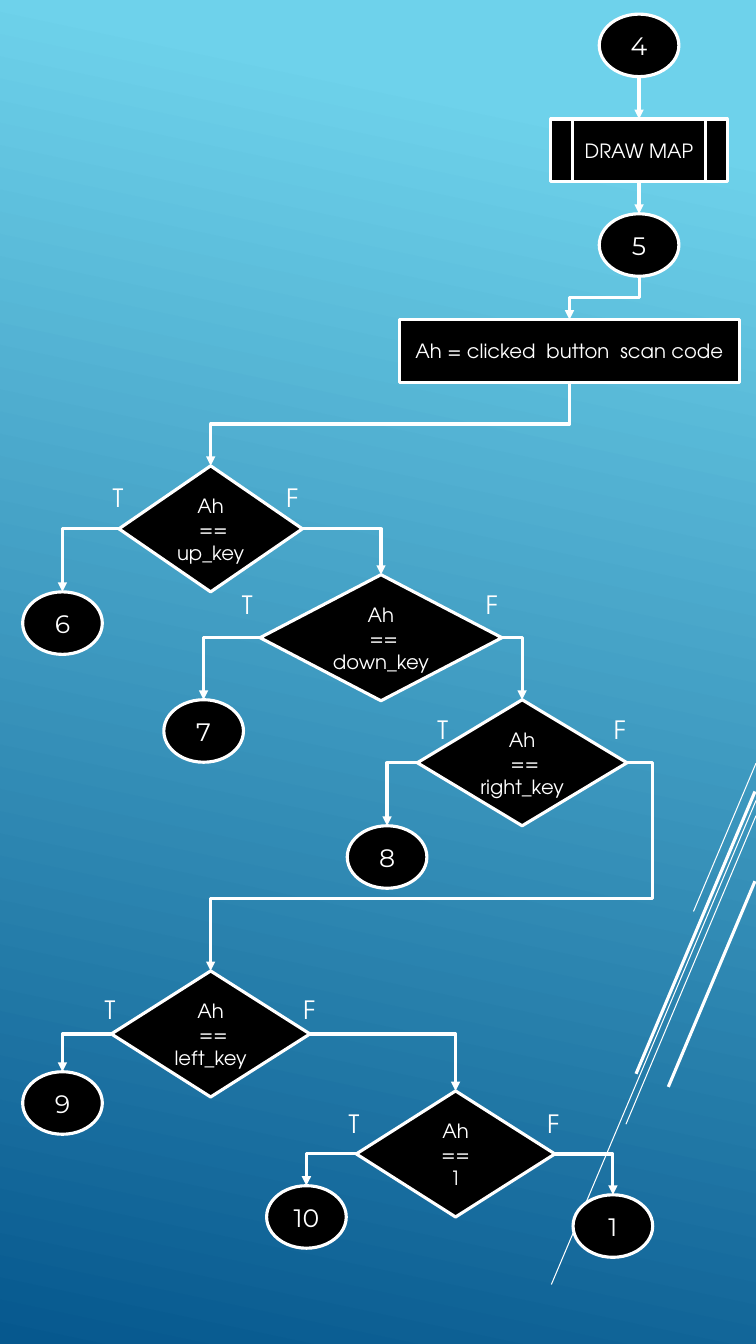
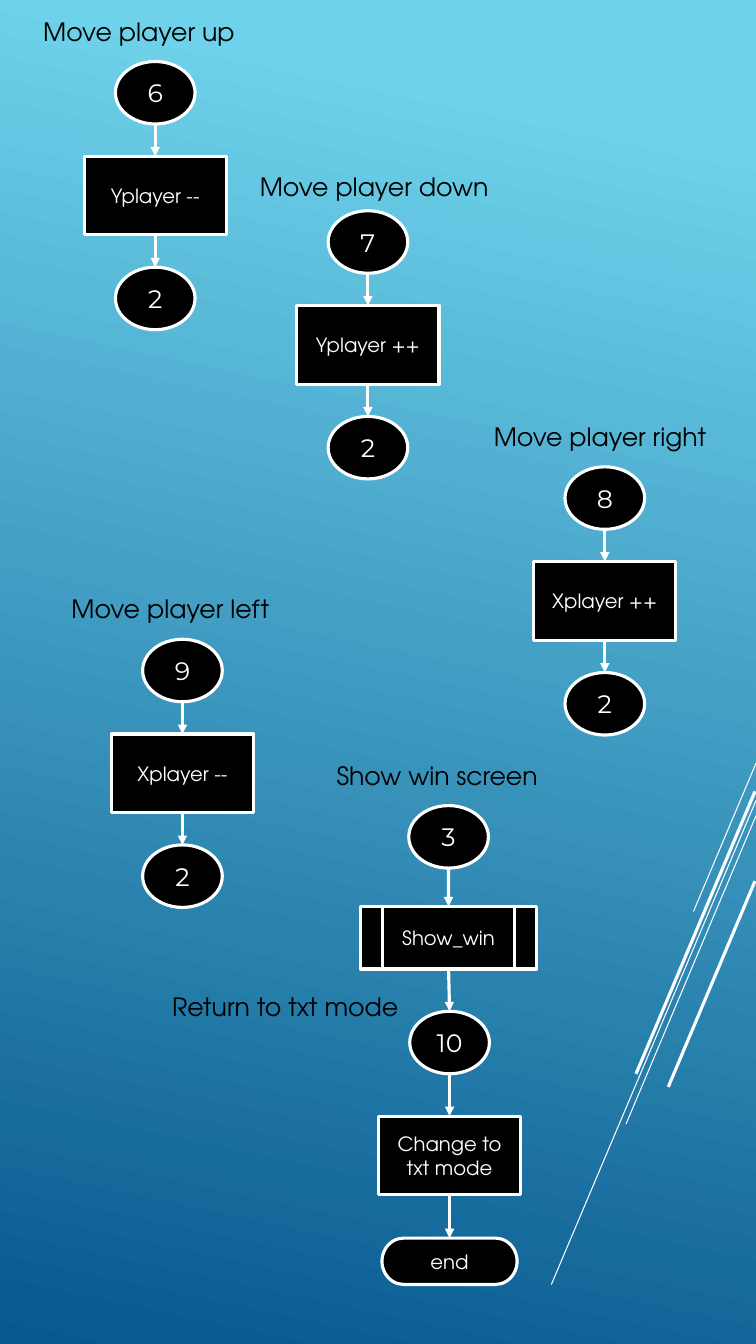
from dataclasses import dataclass

from pptx import Presentation
from pptx.dml.color import RGBColor
from pptx.enum.shapes import MSO_CONNECTOR as Link, MSO_SHAPE as Shape
from pptx.enum.text import MSO_ANCHOR, MSO_AUTO_SIZE, PP_ALIGN
from pptx.oxml.ns import qn
from pptx.oxml.xmlchemy import OxmlElement
from pptx.util import Inches, Pt


@dataclass(frozen=True)
class Theme:
    white: RGBColor = RGBColor(0xFF, 0xFF, 0xFF)
    black: RGBColor = RGBColor(0x00, 0x00, 0x00)
    sky: RGBColor = RGBColor(0x6E, 0xD2, 0xEB)
    sea: RGBColor = RGBColor(0x06, 0x58, 0x8E)
    sans: str = "TeX Gyre Adventor"
    digits: str = "Montserrat"
    step_size: float = 14
    label_size: float = 18
    thin: float = 0.75
    thick: float = 2.25


STREAKS = [
    (7.5, 7.57, 6.88, 9.04, Theme.thin),
    (7.5, 7.94, 5.47, 12.74, Theme.thin),
    (7.5, 8.09, 6.21, 11.15, Theme.thin),
    (7.49, 7.85, 6.31, 10.65, Theme.thick),
    (7.49, 8.74, 6.63, 10.78, Theme.thick),
]


class Flowchart:
    """Hold the deck's style and draw flowchart elements on the current slide."""

    def __init__(self, theme):
        self.theme = theme
        self.deck = Presentation()
        self.deck.slide_width, self.deck.slide_height = Inches(7.5), Inches(13.33)
        self.slide = None

    def new_slide(self):
        self.slide = self.deck.slides.add_slide(self.deck.slide_layouts[6])

    def style_master(self):
        master = self.deck.slide_master
        fill = master.background.fill
        fill.gradient()
        fill.gradient_angle = 360 - 102
        colours = (self.theme.sky, self.theme.sea)
        for stop, position, colour in zip(fill.gradient_stops, (0.1, 1), colours):
            stop.position = position
            stop.color.rgb = colour
        for number, (*ends, weight) in enumerate(STREAKS, start=20):
            streak = self.line(*map(Inches, ends), weight=weight).element
            streak.nvCxnSpPr.cNvPr.set("id", str(number))
            master.shapes.element.append(streak)

    def add_text(self, paragraph, text, size, colour, font=None):
        run = paragraph.add_run()
        run.text = text
        run.font.name = font or self.theme.sans
        run.font.size = Pt(size)
        run.font.color.rgb = colour

    def node(self, kind, lines, centre, top, width, height, size=None, font=None):
        shape = self.slide.shapes.add_shape(
            kind, Inches(centre - width / 2), Inches(top), Inches(width), Inches(height))
        shape.shadow.inherit = False
        shape.fill.solid()
        shape.fill.fore_color.rgb = self.theme.black
        shape.line.color.rgb = self.theme.white
        shape.line.width = Pt(self.theme.thick)
        frame = shape.text_frame
        frame.word_wrap = True
        frame.vertical_anchor = MSO_ANCHOR.MIDDLE
        for index, line in enumerate(lines):
            paragraph = frame.add_paragraph() if index else frame.paragraphs[0]
            paragraph.alignment = PP_ALIGN.CENTER
            self.add_text(paragraph, line, size or self.theme.step_size,
                          self.theme.white, font)
        return shape

    def jump(self, number, centre, top):
        return self.node(Shape.FLOWCHART_CONNECTOR, [number], centre, top, 0.79, 0.62,
                         self.theme.label_size, self.theme.digits)

    def step(self, text, centre, top, width=1.41, height=0.78):
        return self.node(Shape.FLOWCHART_PROCESS, [text], centre, top, width, height)

    def routine(self, text, centre, top):
        return self.node(Shape.FLOWCHART_PREDEFINED_PROCESS, [text], centre, top, 1.75, 0.62)

    def decision(self, lines, centre, top, width):
        return self.node(Shape.FLOWCHART_DECISION, lines, centre, top, width, 1.25)

    def terminator(self, text, centre, top):
        return self.node(Shape.FLOWCHART_TERMINATOR, [text], centre, top, 1.34, 0.46)

    def label(self, text, left, top, width, colour):
        box = self.slide.shapes.add_textbox(
            Inches(left), Inches(top), Inches(width), Inches(0.4))
        frame = box.text_frame
        frame.word_wrap = True
        frame.auto_size = MSO_AUTO_SIZE.SHAPE_TO_FIT_TEXT
        self.add_text(frame.paragraphs[0], text, self.theme.label_size, colour)

    def line(self, x1, y1, x2, y2, kind=Link.STRAIGHT, weight=Theme.thick):
        link = self.slide.shapes.add_connector(kind, x1, y1, x2, y2)
        link.line.color.rgb = self.theme.white
        link.line.width = Pt(weight)
        link.element.spPr.append(OxmlElement("a:effectLst"))
        return link

    def arrow(self, ends, preset=None, bends=()):
        link = self.line(*ends, kind=Link.ELBOW if preset else Link.STRAIGHT)
        properties = link.element.spPr
        head = OxmlElement("a:tailEnd")
        head.set("type", "triangle")
        properties.find(qn("a:ln")).append(head)
        if preset:
            geometry = properties.find(qn("a:prstGeom"))
            geometry.set("prst", preset)
            for index, bend in enumerate(bends, start=1):
                guide = OxmlElement("a:gd")
                guide.set("name", f"adj{index}")
                guide.set("fmla", f"val {round(bend * 100000)}")
                geometry.find(qn("a:avLst")).append(guide)
        return link

    def middle(self, node):
        return node.left + node.width // 2

    def side(self, node, right):
        return node.left + node.width * right, node.top + node.height // 2

    def chain(self, *nodes):
        for source, target in zip(nodes, nodes[1:]):
            self.arrow((self.middle(source), source.top + source.height,
                        self.middle(target), target.top))

    def step_left(self, source, target):
        x1, y1 = self.middle(source), source.top + source.height
        x2, y2 = self.middle(target), target.top
        across, down = x1 - x2, y2 - y1
        left, top = (x1 + x2 - down) // 2, (y1 + y2 - across) // 2
        self.arrow((left, top, left + down, top + across), "bentConnector3").rotation = 90

    def branch(self, source, target, right):
        self.arrow((*self.side(source, right), self.middle(target), target.top),
                   "bentConnector2")

    def loop_back(self, source, target):
        self.arrow((*self.side(source, True), self.middle(target), target.top),
                   "bentConnector4", (-0.061, 0.651))


def key_dispatch(chart):
    theme = chart.theme
    draw = chart.jump("4", 6.34, 0.14)
    draw_map = chart.routine("DRAW MAP", 6.34, 1.18)
    key_wait = chart.jump("5", 6.34, 2.12)
    scan = chart.step("Ah = clicked  button  scan code", 5.65, 3.17, 3.38, 0.62)
    chart.chain(draw, draw_map, key_wait)
    chart.step_left(key_wait, scan)

    tests = [
        (["Ah", " == up_key"], 2.09, 4.62, 1.82, (1.02, 2.74, 4.73), ("6", 0.62, 5.87)),
        (["Ah", " == down_key"], 3.78, 5.7, 2.4, (2.3, 4.72, 5.8), ("7", 2.02, 6.94)),
        (["Ah", " == right_key"], 5.18, 6.94, 2.08, (4.24, 5.99, 7.04), ("8", 3.84, 8.19)),
        (["Ah", " == left_key"], 2.09, 9.63, 1.97, (0.94, 2.91, 9.81), ("9", 0.62, 10.63)),
        (["Ah", "==", "1"], 4.52, 10.82, 1.97, (3.36, 5.33, 10.94), ("10", 3.04, 11.76)),
    ]
    keys = []
    for lines, centre, top, width, (true_x, false_x, label_y), target in tests:
        key = chart.decision(lines, centre, top, width)
        chart.branch(key, chart.jump(*target), right=False)
        chart.label("T", true_x, label_y, 0.35, theme.white)
        chart.label("F", false_x, label_y, 0.35, theme.white)
        keys.append(key)

    up, down, right, left, escape = keys
    chart.step_left(scan, up)
    chart.loop_back(right, left)
    restart = chart.jump("1", 6.08, 11.85)
    for source, target in ((up, down), (down, right), (left, escape), (escape, restart)):
        chart.branch(source, target, right=True)


def player_moves(chart):
    black = chart.theme.black
    moves = [
        ("Move player up", 0.33, 0.11, 2.42, "6", "Yplayer --", 1.54, 0.61),
        ("Move player down", 2.48, 1.65, 2.53, "7", "Yplayer ++", 3.65, 2.09),
        ("Move player right", 4.8, 4.13, 2.42, "8", "Xplayer ++", 6, 4.63),
        ("Move player left", 0.61, 5.84, 2.42, "9", "Xplayer --", 1.81, 6.34),
    ]
    for heading, left, heading_top, width, entry, change, centre, top in moves:
        chart.label(heading, left, heading_top, width, black)
        chart.chain(chart.jump(entry, centre, top),
                    chart.step(change, centre, top + 0.94),
                    chart.jump("2", centre, top + 2.04))

    chart.label("Show win screen", 3.24, 7.49, 2.42, black)
    chart.label("Return to txt mode", 1.61, 9.78, 2.53, black)
    chart.chain(chart.jump("3", 4.45, 7.99),
                chart.routine("Show_win", 4.45, 8.99),
                chart.jump("10", 4.46, 10.03),
                chart.step("Change to txt mode", 4.46, 11.07),
                chart.terminator("end", 4.46, 12.28))


def main():
    chart = Flowchart(Theme())
    chart.new_slide()
    chart.style_master()
    key_dispatch(chart)
    chart.new_slide()
    player_moves(chart)
    chart.deck.save("out.pptx")


if __name__ == "__main__":
    main()
